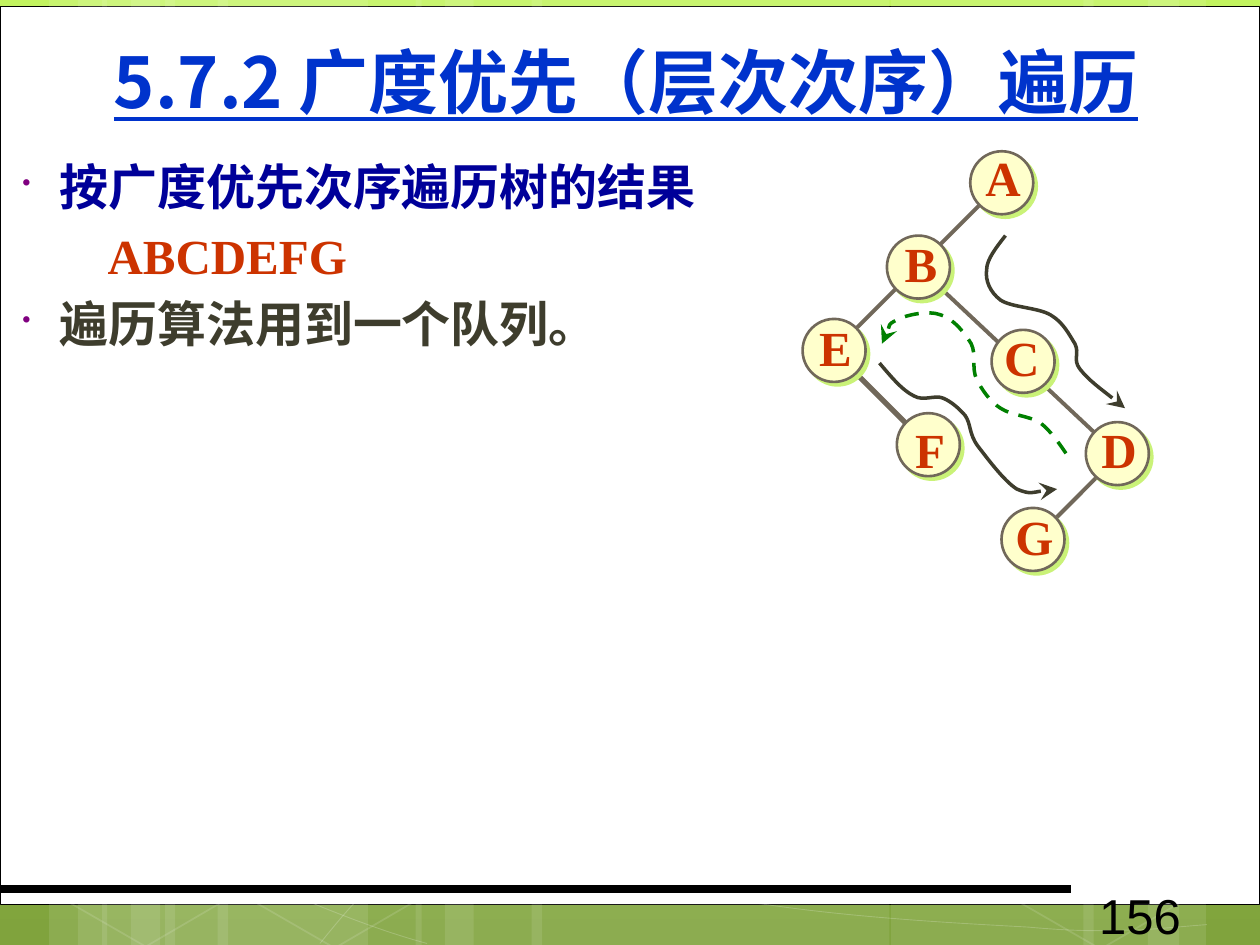
from copy import deepcopy
from dataclasses import dataclass

from lxml import etree
from pptx import Presentation
from pptx.dml.color import RGBColor
from pptx.enum.dml import MSO_LINE
from pptx.enum.shapes import MSO_CONNECTOR, MSO_SHAPE
from pptx.enum.text import MSO_ANCHOR, PP_ALIGN
from pptx.oxml.ns import qn
from pptx.util import Cm, Pt

RECT, OVAL, HEX = MSO_SHAPE.RECTANGLE, MSO_SHAPE.OVAL, MSO_SHAPE.HEXAGON
STRAIGHT, DASH = MSO_CONNECTOR.STRAIGHT, MSO_LINE.DASH
TOP, MIDDLE = MSO_ANCHOR.TOP, MSO_ANCHOR.MIDDLE
LEFT, CENTER = PP_ALIGN.LEFT, PP_ALIGN.CENTER


@dataclass(frozen=True)
class Theme:
    white: str = "FFFFFF"
    black: str = "000000"
    title: str = "0033CC"
    navy: str = "000099"
    red: str = "CC3300"
    olive: str = "3E3D2D"
    green: str = "008000"
    purple: str = "800080"
    edge: str = "71685A"
    node: str = "FFFFCC"
    shade: str = "CAF278"
    back: tuple = ((0, "C2F35F"), (0.62, "92BE3F"), (1, "80A33D"))
    head: str = "Noto Sans CJK JP"
    serif: str = "Times New Roman"
    sans: str = "Arial"
    big: int = 40
    text: int = 28


def tag(parent, name, **attrs):
    return etree.SubElement(parent, qn(name), attrs)


class Page:
    def __init__(self, slide, theme):
        self.slide, self.shapes, self.theme = slide, slide.shapes, theme

    def back(self):
        fill = self.slide.background.fill
        fill.gradient()
        fill.gradient_angle = 270
        stops = self.slide._element.find(".//" + qn("a:gsLst"))
        stops.append(deepcopy(stops[-1]))
        for stop, (spot, color) in zip(fill.gradient_stops, self.theme.back):
            stop.position = spot
            stop.color.rgb = RGBColor.from_string(color)

    def color(self, form, value, alpha=100):
        form.rgb = RGBColor.from_string(value)
        if alpha < 100:
            tag(form._xFill[0], "a:alpha", val=str(alpha * 1000))

    def stroke(self, shape, color, width, alpha=100):
        line = shape.line
        line.width = Pt(width)
        line.fill.solid()
        line.color.rgb = RGBColor.from_string(color)
        self.fade(line._get_or_add_ln(), alpha)

    def fade(self, part, alpha):
        if alpha < 100:
            mark = part.find(qn("a:solidFill"))[0]
            tag(mark, "a:alpha", val=str(alpha * 1000))

    def paint(self, shape, fill=None, line=None, width=1, clear=100, faint=100):
        shape.shadow.inherit = False
        if fill and clear:
            shape.fill.solid()
            shape.fill.fore_color.rgb = RGBColor.from_string(fill)
            self.fade(shape._element.spPr, clear)
        else:
            shape.fill.background()
        if line:
            self.stroke(shape, line, width, faint)
        else:
            shape.line.fill.background()

    def shape(self, kind, x, y, w, h, **style):
        item = self.shapes.add_shape(kind, Cm(x), Cm(y), Cm(w), Cm(h))
        self.paint(item, **style)
        return item

    def hexagon(self, x, y, clear, faint):
        white = self.theme.white
        item = self.shape(HEX, x, y, 4.09, 3.86, fill=white, line=white,
                          clear=clear, faint=faint)
        item.adjustments[0], item.adjustments[1] = 0.285, 1.155
        item.rotation = 30

    def line(self, x1, y1, x2, y2, color, width):
        item = self.shapes.add_connector(STRAIGHT, Cm(x1), Cm(y1), Cm(x2), Cm(y2))
        self.stroke(item, color, width)
        tag(item._element.spPr, "a:effectLst")

    def form(self, knots, close=False, **style):
        points = [(Cm(x), Cm(y)) for x, y in knots]
        pen = self.shapes.build_freeform(*points[0])
        pen.add_line_segments(points[1:], close=close)
        item = pen.convert_to_shape()
        self.paint(item, **style)
        return item

    def curve(self, knots, color, width, faint=100, dash=None, arrow=False):
        item = self.form(knots, line=color, width=width, faint=faint)
        legs = list(item._element.iter(qn("a:lnTo")))
        for i in range(0, len(legs), 3):
            bend = tag(legs[i].getparent(), "a:cubicBezTo")
            for leg in legs[i:i + 3]:
                bend.append(leg[0])
                leg.getparent().remove(leg)
        if dash:
            item.line.dash_style = dash
        if arrow:
            tag(item.line._get_or_add_ln(), "a:tailEnd", type="stealth", w="lg", len="lg")

    def node(self, x, y):
        item = self.shape(OVAL, x, y, 1.27, 1.27, fill=self.theme.node,
                          line=self.theme.edge, width=1.5)
        effects = item._element.spPr.find(qn("a:effectLst"))
        shadow = tag(effects, "a:outerShdw", dist=str(Pt(2.8)), dir="2700000",
                     algn="ctr", rotWithShape="0")
        tag(shadow, "a:srgbClr", val=self.theme.shade)

    def font(self, para, face, size, color, bold=False):
        font = para.font
        font.name, font.size, font.bold = face, Pt(size), bold
        font.color.rgb = RGBColor.from_string(color)

    def text(self, x, y, w, h, words, face, color, bold=False,
             align=LEFT, anchor=TOP, wrap=True):
        frame = self.shapes.add_textbox(Cm(x), Cm(y), Cm(w), Cm(h)).text_frame
        frame.word_wrap, frame.vertical_anchor = wrap, anchor
        para = frame.paragraphs[0]
        para.text, para.alignment = words, align
        self.font(para, face, self.theme.text, color, bold)

    def title(self, x, y, w, h, words):
        item = self.shapes.title
        item.left, item.top, item.width, item.height = Cm(x), Cm(y), Cm(w), Cm(h)
        self.shapes._spTree.append(item._element)
        frame = item.text_frame
        frame.margin_left = frame.margin_right = frame.margin_top = frame.margin_bottom = 0
        frame.word_wrap, frame.vertical_anchor = False, MIDDLE
        para = frame.paragraphs[0]
        para.text, para.alignment = words, CENTER
        self.font(para, self.theme.head, self.theme.big, self.theme.title, True)
        para.font.underline = True

    def body(self, x, y, w, h, rows):
        frame = self.shapes.add_textbox(Cm(x), Cm(y), Cm(w), Cm(h)).text_frame
        frame.word_wrap = True
        for i, (words, color, dot) in enumerate(rows):
            para = frame.add_paragraph() if i else frame.paragraphs[0]
            para.text = words
            props = para._p.get_or_add_pPr()
            props.set("marL", str(Cm(0.95 if dot else 1.92)))
            props.set("indent", str(Cm(-0.75 if dot else 0)))
            if dot:
                tag(tag(props, "a:buClr"), "a:srgbClr", val=self.theme.purple)
                tag(props, "a:buSzPct", val="50000")
                tag(props, "a:buChar", char="•")
            if i:
                para.space_before = Pt(5.6)
            self.font(para, self.theme.serif, self.theme.text, color, True)


BARS = ((3.33, 4.09), (0.99, 1.17), (1.57, 1.96), (4.39, 4.11), (2.06, 1.17), (2.64, 1.96),
        (17.96, 4.09), (23.14, 1.17), (21.84, 1.93), (10.72, 7.21), (8.38, 1.17), (8.97, 1.96))
HEXES = ((8.64, 7.95, 10, 12), (10.49, 11.46, 0, 12), (10.52, 4.42, 7, 8), (8.59, 0.91, 4, 8),
         (1.04, 15.01, 0, 12), (1.12, 7.92, 7, 8), (2.97, 11.46, 0, 12), (4.85, 15.04, 0, 12),
         (4.9, 7.95, 7, 8), (3.02, 4.34, 0, 12), (18.39, 11.51, 10, 12), (20.29, 15.06, 0, 12),
         (20.29, 7.98, 7, 8))
CUTS = ((10, ((1.04, 11.38), (1.3, 11.2), (3.1, 12.24), (3.02, 14.4), (1.17, 15.57), (0.91, 15.42))),
        (4, ((22.43, 12.4), (24.28, 11.23), (24.43, 11.35), (24.31, 15.52), (24.13, 15.62), (22.35, 14.58))),
        (0, ((22.43, 5.33), (24.28, 4.17), (24.46, 4.27), (24.31, 8.43), (24.13, 8.53), (22.35, 7.52))))
ARCS = (
    ((0.94, 12.12), (1.63, 11.71), (2.29, 11.33), (3.63, 10.95), (4.95, 10.57), (6.83, 10.01), (8.92, 9.83),
     (10.97, 9.65), (13.51, 9.63), (16.08, 9.83), (18.64, 10.03), (22.94, 10.82), (24.33, 11.02)),
    ((0.91, 15.67), (3.73, 17.07), (6.55, 18.47), (8.61, 19.02)),
    ((0.94, 14.68), (1.68, 14.96), (2.41, 15.24), (3.78, 15.65), (5.13, 16.03), (7.16, 16.66), (9.12, 17.09),
     (11.07, 17.53), (13.54, 17.98), (15.47, 18.24), (17.4, 18.52), (19.48, 18.62), (20.73, 18.69),
     (21.95, 18.8), (22.28, 18.75), (22.89, 18.75), (23.47, 18.72), (23.9, 18.67), (24.33, 18.64)),
    ((6.45, 19.02), (6.86, 18.52), (7.26, 18.01), (7.85, 17.55), (8.41, 17.07), (9.19, 16.59), (9.86, 16.23),
     (10.49, 15.88), (10.9, 15.72), (11.76, 15.47), (12.62, 15.21), (14.2, 14.86), (15.01, 14.68),
     (15.82, 14.5), (15.95, 14.5), (16.69, 14.45), (17.4, 14.38), (18.54, 14.3), (19.35, 14.27),
     (20.17, 14.25), (21.51, 14.27), (21.51, 14.27), (22.03, 14.27), (22.54, 14.27), (23.06, 14.27),
     (23.5, 14.3), (23.88, 14.33), (24.08, 14.35), (24.31, 14.38), (24.23, 14.35), (24.31, 14.38)))
EDGES = ((22.33, 9.4, 21.06, 10.67, 2.25), (17.02, 7.29, 18.29, 8.56, 3),
         (19.99, 3.89, 17.02, 6.86, 2.25), (18.92, 5.77, 22.33, 8.97, 2.25))
NODES = (("A", 19.56, 3.05, 19.61, 2.84, 1.22), ("B", 17.88, 4.75, 17.98, 4.57, 1.17),
         ("C", 19.99, 6.65, 19.99, 6.48, 1.22), ("D", 21.89, 8.51, 21.95, 8.33, 1.22),
         ("E", 16.18, 6.43, 16.26, 6.27, 1.17), ("F", 18.08, 8.33, 18.19, 8.33, 1.12),
         ("G", 20.19, 10.24, 20.22, 10.08, 1.27))
DOWN = ((20.27, 4.75), (20.09, 4.98), (19.89, 5.23), (19.89, 5.44), (19.86, 5.66), (19.96, 5.89), (20.17, 6.05),
        (20.4, 6.2), (20.93, 6.2), (21.18, 6.35), (21.44, 6.5), (21.56, 6.76), (21.67, 6.93),
        (21.77, 7.14), (21.62, 7.24), (21.77, 7.44), (21.95, 7.67), (22.53, 8.1), (22.68, 8.23))
BACK = ((21.49, 9.14), (21.34, 8.92), (21.18, 8.69), (20.98, 8.53), (20.75, 8.38), (20.4, 8.38), (20.17, 8.23),
        (19.96, 8.1), (19.79, 7.85), (19.69, 7.65), (19.58, 7.42), (19.69, 7.16), (19.58, 6.93), (19.46, 6.73),
        (19.23, 6.43), (18.97, 6.35), (18.72, 6.25), (18.26, 6.35), (18.08, 6.45), (17.88, 6.55),
        (17.83, 6.86), (17.78, 6.93))
LAST = ((17.73, 7.32), (17.96, 7.59), (18.19, 7.87), (18.42, 7.98), (18.62, 8.1), (18.85, 7.95), (19.02, 8.03),
        (19.18, 8.1), (19.33, 8.23), (19.46, 8.38), (19.58, 8.56), (19.53, 8.74), (19.71, 8.99),
        (19.89, 9.22), (20.24, 9.7), (20.5, 9.86), (20.78, 9.98), (21.18, 9.86), (21.31, 9.86))


def main():
    deck = Presentation()
    deck.slide_width, deck.slide_height = Cm(25.4), Cm(19.05)
    theme = Theme()
    page = Page(deck.slides.add_slide(deck.slide_layouts[5]), theme)
    page.back()
    page.shape(RECT, 0, 0.14, 25.4, 18.1, fill=theme.white, line=theme.black, width=0.5)
    for x, w in BARS:
        page.shape(RECT, x, 0, w, 19.05, fill=theme.white, clear=10)
    for arc in ARCS:
        page.curve(arc, theme.white, 0.5, faint=20)
    for spot in HEXES:
        page.hexagon(*spot)
    for clear, knots in CUTS:
        page.form(knots, True, fill=theme.white, line=theme.white, clear=clear, faint=12)
    page.line(0, 17.93, 21.59, 17.93, theme.black, 4.5)
    page.title(1.19, 0.05, 22.86, 3.15, "5.7.2 广度优先（层次次序）遍历")
    page.body(0, 3.03, 22.38, 13.31, (("按广度优先次序遍历树的结果", theme.navy, True),
              ("ABCDEFG", theme.red, False), ("遍历算法用到一个队列。", theme.olive, True)))
    page.text(21.91, 17.73, 3.71, 1.02, "156", theme.sans, theme.black)
    for *ends, width in EDGES:
        page.line(*ends, theme.edge, width)
    for name, x, y, left, top, w in NODES:
        page.node(x, y)
        page.text(left, top, w, 1.45, name, theme.serif, theme.red, True, CENTER, MIDDLE, False)
    page.curve(DOWN, theme.olive, 2, arrow=True)
    page.curve(BACK, theme.green, 2, dash=DASH, arrow=True)
    page.curve(LAST, theme.olive, 2, arrow=True)
    deck.save("out.pptx")


if __name__ == "__main__":
    main()
